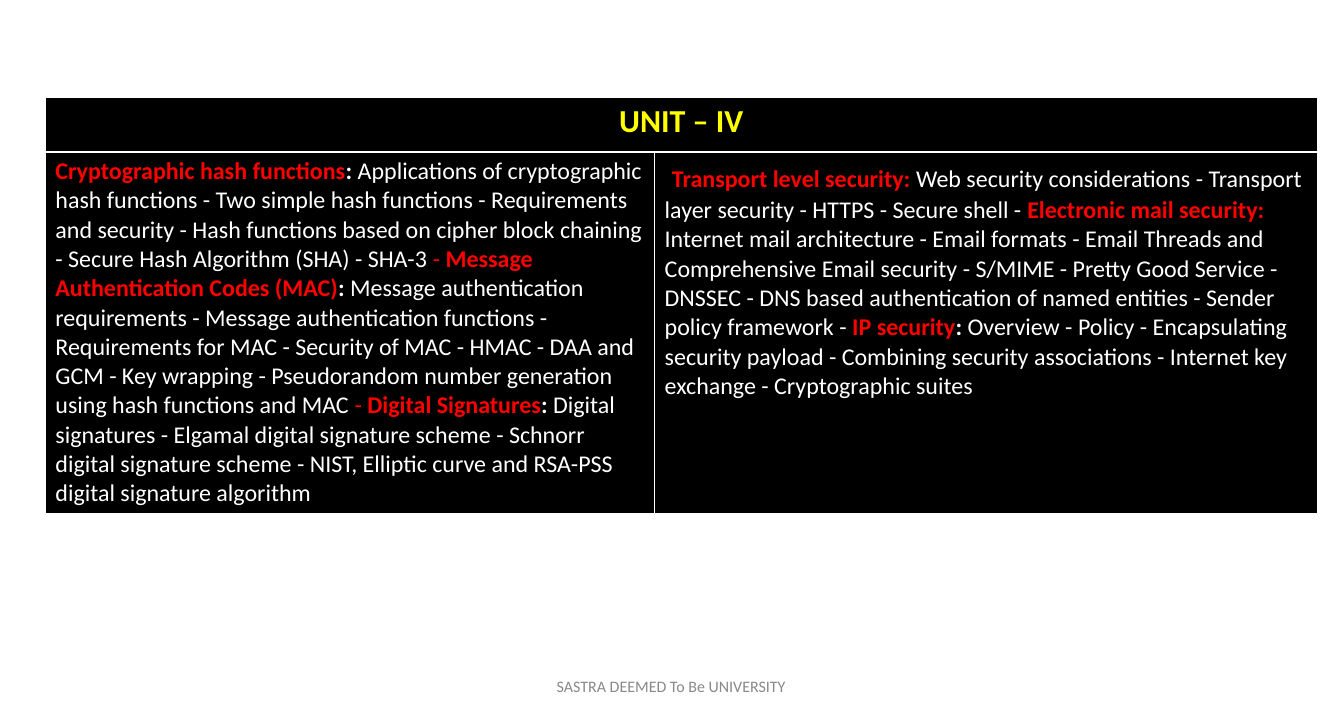
from typing import NamedTuple

from lxml.etree import SubElement
from pptx import Presentation
from pptx.dml.color import RGBColor
from pptx.enum.text import MSO_ANCHOR, PP_ALIGN
from pptx.oxml.ns import qn
from pptx.table import _Cell
from pptx.text.text import Font
from pptx.util import Pt

COLORS = {
    "panel": "000000",
    "body": "FFFFFF",
    "topic": "FF0000",
    "heading": "FFFF00",
    "border": "FFFFFF",
    "footer": "898989",
}
FONT = "Calibri"
THIN, THICK = 0.45, 1.47


class Span(NamedTuple):
    text: str
    color: str = "body"
    bold: bool = False
    size: float = 18


def topic(text: str) -> Span:
    return Span(text, "topic", True)


DASH = Span("- ", "topic")
COLON = Span(": ", bold=True)

HEADING = [Span("UNIT – IV", "heading", True, 24)]
HASH_AND_SIGNATURES = [
    topic("Cryptographic hash functions"), COLON,
    Span("Applications of cryptographic hash functions - Two simple hash functions - "
         "Requirements and security - Hash functions based on cipher block chaining - "
         "Secure Hash Algorithm (SHA) - SHA-3 "),
    DASH, topic("Message Authentication Codes (MAC)"), COLON,
    Span("Message authentication requirements - Message authentication functions - "
         "Requirements for MAC - Security of MAC - HMAC - DAA and GCM - Key wrapping - "
         "Pseudorandom number generation using hash functions and MAC "),
    DASH, topic("Digital Signatures"), COLON,
    Span("Digital signatures - Elgamal digital signature scheme - Schnorr digital "
         "signature scheme - NIST, Elliptic curve and RSA-PSS digital signature algorithm"),
]
NETWORK_SECURITY = [
    Span(" ", size=24), topic("Transport level security: "),
    Span("Web security considerations - Transport layer security - HTTPS - Secure shell - "),
    topic("Electronic mail security: "),
    Span("Internet mail architecture - Email formats - Email Threads and Comprehensive "
         "Email security - S/MIME - Pretty Good Service - DNSSEC - DNS based "
         "authentication of named entities - Sender policy framework - "),
    topic("IP security"), COLON,
    Span("Overview - Policy - Encapsulating security payload - Combining security "
         "associations - Internet key exchange - Cryptographic suites"),
]


def set_font(font: Font, size: float, color: str, bold: bool = False) -> None:
    font.name = FONT
    font.size = Pt(size)
    font.bold = bold
    font.color.rgb = RGBColor.from_string(COLORS[color])


def style_cell(cell: _Cell, top: float, bottom: float) -> None:
    """Fill the cell, set its margins and draw its four borders."""
    cell.fill.solid()
    cell.fill.fore_color.rgb = RGBColor.from_string(COLORS["panel"])
    cell.margin_left = cell.margin_right = Pt(7.6)
    cell.margin_top = cell.margin_bottom = Pt(3.6)
    properties = cell._tc.get_or_add_tcPr()
    edges = {"a:lnL": THIN, "a:lnR": THIN, "a:lnT": top, "a:lnB": bottom}
    for position, (tag, width) in enumerate(edges.items()):
        border = SubElement(properties, qn(tag), w=str(int(Pt(width))))
        fill = SubElement(border, qn("a:solidFill"))
        SubElement(fill, qn("a:srgbClr"), val=COLORS["border"])
        properties.insert(position, border)


def write_cell(cell: _Cell, spans: list[Span], align: PP_ALIGN = PP_ALIGN.LEFT) -> None:
    paragraph = cell.text_frame.paragraphs[0]
    paragraph.alignment = align
    for span in spans:
        run = paragraph.add_run()
        run.text = span.text
        set_font(run.font, span.size, span.color, span.bold)


def main() -> None:
    presentation = Presentation()
    presentation.slide_width, presentation.slide_height = Pt(1008), Pt(540)
    slide = presentation.slides.add_slide(presentation.slide_layouts[6])

    # Syllabus table: one heading across two columns of topics
    column_widths, row_heights = (457, 497), (41, 271)
    syllabus = slide.shapes.add_table(
        2, 2, Pt(34), Pt(73), Pt(sum(column_widths)), Pt(sum(row_heights))
    ).table
    for column, width in zip(syllabus.columns, column_widths):
        column.width = Pt(width)
    for row, height in zip(syllabus.rows, row_heights):
        row.height = Pt(height)
    for index in range(2):
        style_cell(syllabus.cell(0, index), THIN, THICK)
        style_cell(syllabus.cell(1, index), THICK, THIN)
    syllabus.cell(0, 0).merge(syllabus.cell(0, 1))
    write_cell(syllabus.cell(0, 0), HEADING, PP_ALIGN.CENTER)
    write_cell(syllabus.cell(1, 0), HASH_AND_SIGNATURES)
    write_cell(syllabus.cell(1, 1), NETWORK_SECURITY)

    # Footer
    footer = slide.shapes.add_textbox(Pt(344), Pt(500.5), Pt(319), Pt(28.8)).text_frame
    footer.word_wrap = True
    footer.vertical_anchor = MSO_ANCHOR.MIDDLE
    university = footer.paragraphs[0]
    university.text = "SASTRA DEEMED To Be UNIVERSITY"
    university.alignment = PP_ALIGN.CENTER
    set_font(university.font, 12, "footer")

    presentation.save("out.pptx")


if __name__ == "__main__":
    main()
